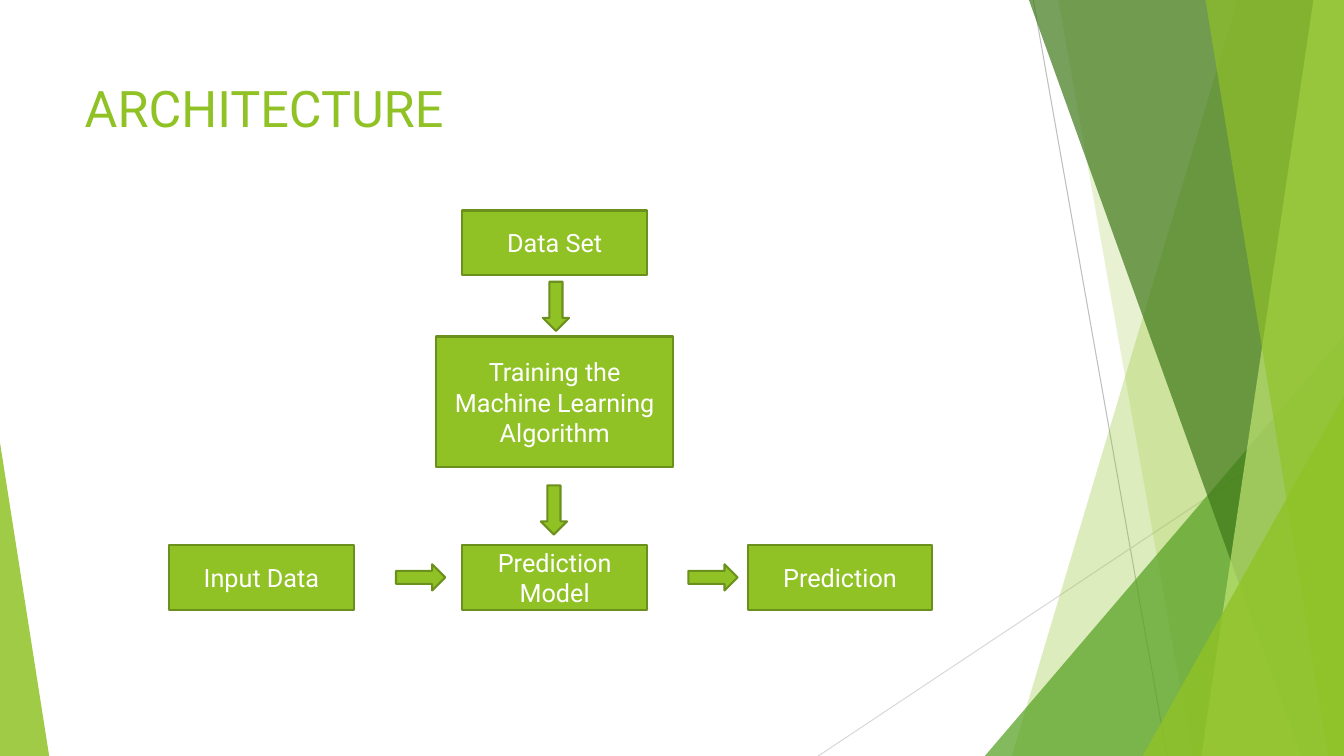
from dataclasses import dataclass

from lxml.etree import SubElement
from pptx import Presentation
from pptx.dml.color import RGBColor
from pptx.enum.shapes import MSO_CONNECTOR, MSO_SHAPE
from pptx.enum.text import MSO_ANCHOR, PP_ALIGN
from pptx.oxml.ns import qn
from pptx.util import Cm, Pt


@dataclass(frozen=True)
class Theme:
    font: str = "Roboto"
    title_size: int = 36
    box_size: int = 18
    green: str = "90C226"
    leaf: str = "54A021"
    forest: str = "3F7819"
    lime: str = "C0E474"
    outline: str = "6B901C"
    outline_width: float = 1.5
    white: str = "FFFFFF"
    dark_rule: str = "BFBFBF"
    light_rule: str = "D9D9D9"
    rule_width: float = 0.75


THEME = Theme()
WIDTH, HEIGHT = 33.87, 19.05


def color(value):
    return RGBColor.from_string(value)


def set_font(paragraph, size, value):
    paragraph.font.name = THEME.font
    paragraph.font.size = Pt(size)
    paragraph.font.color.rgb = color(value)


def make_glass(facet, value, opacity):
    """Fill a background facet with a see-through colour and no outline."""
    facet.shadow.inherit = False
    facet.fill.solid()
    facet.fill.fore_color.rgb = color(value)
    facet.line.fill.background()
    tint = facet.fill._xPr.find(".//" + qn("a:srgbClr"))
    SubElement(tint, qn("a:alpha")).set("val", str(opacity * 1000))


def add_rule(slide, start, end, value):
    rule = slide.shapes.add_connector(
        MSO_CONNECTOR.STRAIGHT, *(Cm(v) for v in start + end))
    rule.line.color.rgb = color(value)
    rule.line.width = Pt(THEME.rule_width)
    SubElement(rule._element.spPr, qn("a:effectLst"))


def add_band(slide, top_x, bottom_x, value, opacity):
    """Full-height band from a slanted left side to the right slide edge."""
    outline = slide.shapes.build_freeform(Cm(top_x), 0)
    corners = [(WIDTH, 0), (WIDTH, HEIGHT), (bottom_x, HEIGHT)]
    outline.add_line_segments([(Cm(x), Cm(y)) for x, y in corners])
    make_glass(outline.convert_to_shape(), value, opacity)


def add_corner(slide, left, top, width, apex, value, opacity):
    """Triangle standing on the bottom edge of the slide."""
    corner = slide.shapes.add_shape(
        MSO_SHAPE.ISOSCELES_TRIANGLE,
        Cm(left), Cm(top), Cm(width), Cm(HEIGHT - top))
    corner.adjustments[0] = apex
    make_glass(corner, value, opacity)


def add_node(slide, kind, center, size):
    """Outlined green shape placed by its centre."""
    (x, y), (width, height) = center, size
    node = slide.shapes.add_shape(
        kind, Cm(x - width / 2), Cm(y - height / 2), Cm(width), Cm(height))
    node.shadow.inherit = False
    node.fill.solid()
    node.fill.fore_color.rgb = color(THEME.green)
    node.line.color.rgb = color(THEME.outline)
    node.line.width = Pt(THEME.outline_width)
    return node


def add_step(slide, label, center, size=(4.65, 1.63)):
    frame = add_node(slide, MSO_SHAPE.RECTANGLE, center, size).text_frame
    frame.word_wrap = True
    frame.vertical_anchor = MSO_ANCHOR.MIDDLE
    frame.text = label
    frame.paragraphs[0].alignment = PP_ALIGN.CENTER
    set_font(frame.paragraphs[0], THEME.box_size, THEME.white)


def add_arrow(slide, center, rotation=0):
    arrow = add_node(slide, MSO_SHAPE.RIGHT_ARROW, center, (1.24, 0.66))
    arrow.rotation = rotation


def add_background(slide):
    add_rule(slide, (26.04, 0), (29.41, HEIGHT), THEME.dark_rule)
    add_rule(slide, (WIDTH, 10.24), (20.62, HEIGHT), THEME.light_rule)
    add_band(slide, 31.19, 25.5, THEME.green, 30)
    add_band(slide, 26.67, 30.05, THEME.green, 20)
    add_corner(slide, 24.82, 8.46, 9.05, 1, THEME.leaf, 72)
    add_band(slide, 25.93, 32.79, THEME.forest, 70)
    add_band(slide, 33.1, 30.28, THEME.lime, 70)
    add_band(slide, 30.38, 33.48, THEME.green, 65)
    add_corner(slide, 28.8, 9.98, 5.07, 1, THEME.green, 80)
    add_corner(slide, 0, 11.15, 1.24, 0, THEME.green, 85)


def set_title(slide, text):
    title = slide.shapes.title
    title.left, title.top = Cm(1.88), Cm(1.7)
    title.width, title.height = Cm(23.88), Cm(2.03)
    title.text_frame.text = text
    title.text_frame.vertical_anchor = MSO_ANCHOR.MIDDLE
    title.text_frame.paragraphs[0].alignment = PP_ALIGN.LEFT
    set_font(title.text_frame.paragraphs[0], THEME.title_size, THEME.green)
    # Bring the title in front of the background
    title.element.getparent().append(title.element)


def add_flow(slide):
    middle, row = 13.98, 14.55
    # Training column
    add_step(slide, "Training the Machine Learning Algorithm",
             (middle, 10.13), (5.97, 3.3))
    add_step(slide, "Data Set", (middle, 6.12))
    # Prediction row
    for label, x in (("Prediction", 21.17), ("Input Data", 6.59),
                     ("Prediction Model", middle)):
        add_step(slide, label, (x, row))
    # Arrows along the row and down the column
    for x in (17.97, 10.6):
        add_arrow(slide, (x, row))
    for center in ((14.01, 7.72), (13.96, 12.85)):
        add_arrow(slide, center, rotation=90)


def main():
    deck = Presentation()
    deck.slide_width, deck.slide_height = Cm(WIDTH), Cm(HEIGHT)
    slide = deck.slides.add_slide(deck.slide_layouts[5])
    add_background(slide)
    set_title(slide, "ARCHITECTURE")
    add_flow(slide)
    deck.save("out.pptx")


main()
